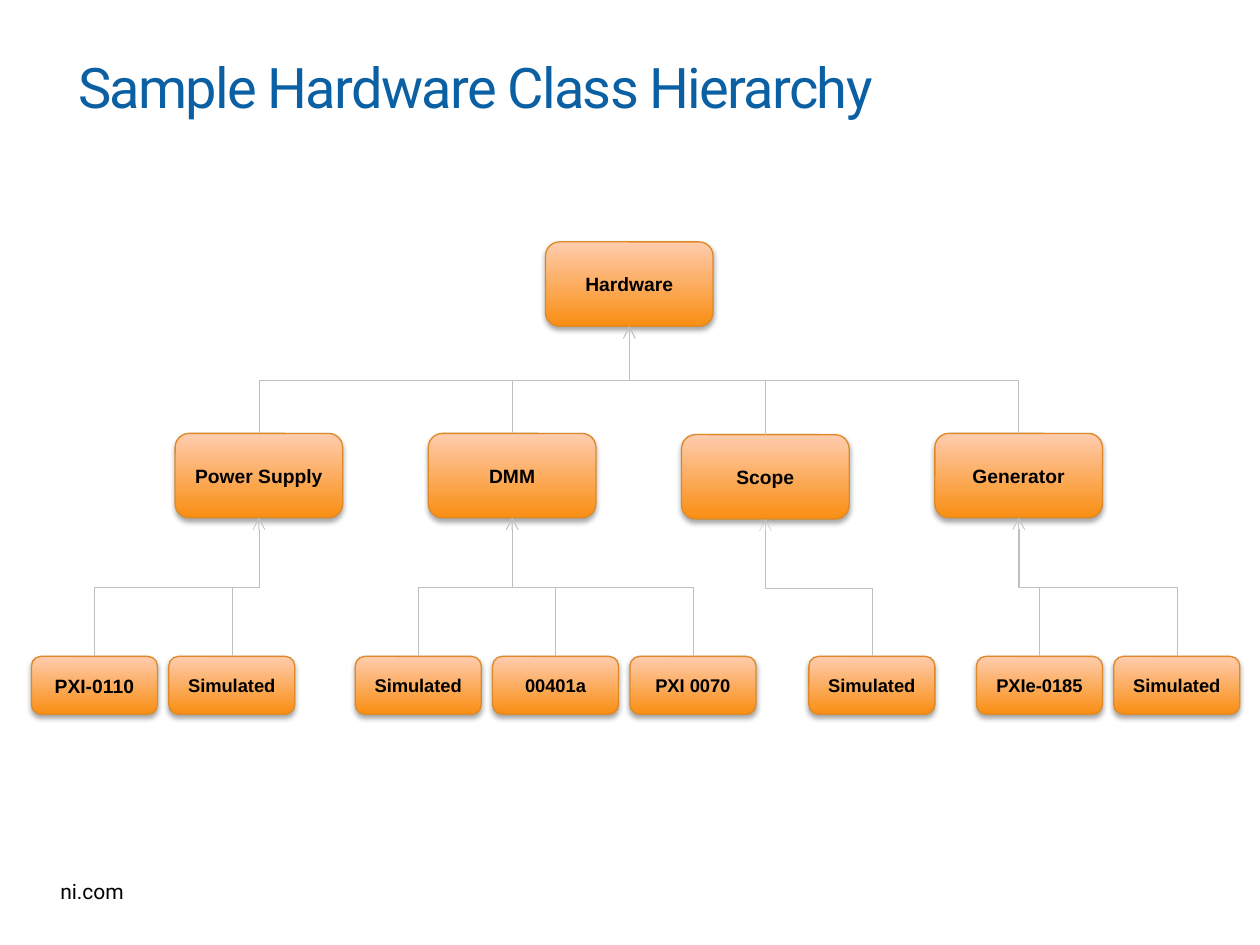
from lxml import etree
from pptx import Presentation
from pptx.dml.color import RGBColor
from pptx.enum.shapes import MSO_CONNECTOR, MSO_SHAPE
from pptx.enum.text import MSO_ANCHOR, PP_ALIGN
from pptx.oxml.ns import qn
from pptx.util import Inches, Pt

COLORS = {
    "title": "0A60A3",
    "text": "000000",
    "box_bottom": "F98E12",
    "box_top": "FFCCAE",
    "box_edge": "DD8928",
    "link": "BFBFBF",
    "shadow": "000000",
}
rgb = {name: RGBColor.from_string(value) for name, value in COLORS.items()}

prs = Presentation()
prs.slide_width, prs.slide_height = Inches(10), Inches(7.5)
slide = prs.slides.add_slide(prs.slide_layouts[5])


def add_class(name, left, top, width, height, size):
    """Add one rounded class box with gradient, soft shadow and label."""
    box = slide.shapes.add_shape(
        MSO_SHAPE.ROUNDED_RECTANGLE,
        Inches(left), Inches(top), Inches(width), Inches(height))
    box.fill.gradient()
    box.fill.gradient_angle = 90
    for stop, color in zip(box.fill.gradient_stops, ("box_bottom", "box_top")):
        stop.color.rgb = rgb[color]
    box.line.color.rgb = rgb["box_edge"]
    box.line.width = Pt(0.75)

    box.shadow.inherit = False
    effects = box._element.spPr.find(qn("a:effectLst"))
    shadow = etree.SubElement(
        effects, qn("a:outerShdw"), blurRad=str(Pt(3.1)), dist=str(Pt(1.8)),
        dir="5400000", rotWithShape="0")
    shade = etree.SubElement(shadow, qn("a:srgbClr"), val=COLORS["shadow"])
    etree.SubElement(shade, qn("a:alpha"), val="35000")

    box.text_frame.vertical_anchor = MSO_ANCHOR.MIDDLE
    label = box.text_frame.paragraphs[0]
    label.text = name
    label.alignment = PP_ALIGN.CENTER
    label.font.name, label.font.size, label.font.bold = "Arial", Pt(size), True
    label.font.color.rgb = rgb["text"]
    return box


def add_inheritance(child, parent):
    """Link the top of a child to the bottom of its parent with an arrow."""
    x1, y1 = child.left + child.width // 2, child.top
    x2, y2 = parent.left + parent.width // 2, parent.top + parent.height
    link = slide.shapes.add_connector(MSO_CONNECTOR.ELBOW, x1, y1, x2, y2)
    link.begin_connect(child, 0)
    link.end_connect(parent, 2)

    # A vertical start needs a quarter turn, so width and height swap
    rise, run = y1 - y2, abs(x2 - x1)
    link.left, link.top = (x1 + x2 - rise) // 2, (y1 + y2 - run) // 2
    link.width, link.height = rise, run
    parent_is_right = x2 > x1
    frame = link._element.spPr.find(qn("a:xfrm"))
    frame.set("rot", "5400000" if parent_is_right else "16200000")
    frame.set("flipH", "1" if parent_is_right else "0")
    frame.set("flipV", "1")

    link.line.color.rgb = rgb["link"]
    link.line.width = Pt(0.25)
    properties = link._element.spPr
    etree.SubElement(properties.find(qn("a:ln")), qn("a:tailEnd"), type="arrow")
    etree.SubElement(properties, qn("a:effectLst"))


# Title
title = slide.shapes.title
title.left, title.top = Inches(0.52), Inches(0.16)
title.width, title.height = Inches(8.93), Inches(1.05)
title.text_frame.vertical_anchor = MSO_ANCHOR.MIDDLE
heading = title.text_frame.paragraphs[0]
heading.text = "Sample Hardware Class Hierarchy"
heading.alignment = PP_ALIGN.LEFT
heading.font.name, heading.font.size = "Roboto", Pt(32)
heading.font.color.rgb = rgb["title"]
heading.runs[0].font._element.set("spc", "-100")

# Web address at the foot
footer = slide.shapes.add_textbox(
    Inches(0.38), Inches(6.92), Inches(0.71), Inches(0.3))
footer.text_frame.word_wrap = False
address = footer.text_frame.paragraphs[0]
address.text = "ni.com"
address.font.name, address.font.size = "Roboto", Pt(12)
address.font.color.rgb = rgb["text"]

# Hierarchy: instrument type, its top, left of its first model, models
INSTRUMENTS = [
    ("Power Supply", 3.44, 0.25, ["PXI-0110", "Simulated"]),
    ("DMM", 3.44, 2.82, ["Simulated", "00401a", "PXI 0070"]),
    ("Scope", 3.45, 6.42, ["Simulated"]),
    ("Generator", 3.44, 7.75, ["PXIe-0185", "Simulated"]),
]
TYPE_LEFT, TYPE_PITCH, MODEL_PITCH = 1.39, 2.01, 1.09

hardware = add_class("Hardware", 4.33, 1.92, 1.33, 0.67, 11)
inheritance = []
for i, (name, top, models_left, models) in enumerate(INSTRUMENTS):
    instrument = add_class(
        name, TYPE_LEFT + i * TYPE_PITCH, top, 1.33, 0.67, 11)
    inheritance.append((instrument, hardware))
    for j, model_name in enumerate(models):
        size = 11 if i == j == 0 else 10.5
        model = add_class(
            model_name, models_left + j * MODEL_PITCH, 5.21, 1, 0.46, size)
        inheritance.append((model, instrument))

# Inheritance arrows
for child, parent in inheritance:
    add_inheritance(child, parent)

prs.save("out.pptx")
